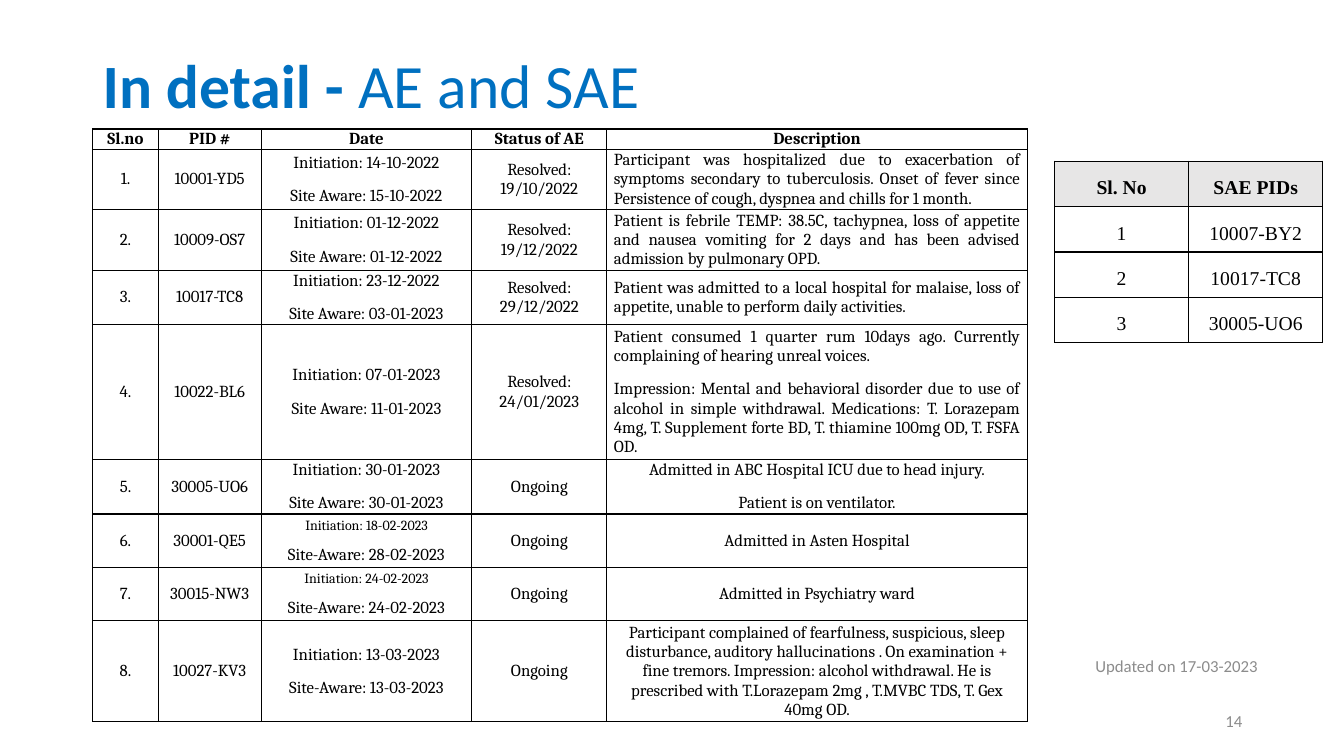
from lxml import etree
from pptx import Presentation, util as u
from pptx.dml.color import RGBColor
from pptx.enum import text as t
from pptx.oxml import ns

BLUE = RGBColor(0x00, 0x70, 0xC0)
GREY = RGBColor(0x8C, 0x8C, 0x8C)
PALE = RGBColor(0xE7, 0xE6, 0xE6)
BLACK = RGBColor(0, 0, 0)
CENTER, JUSTIFY, RIGHT = t.PP_ALIGN.CENTER, t.PP_ALIGN.JUSTIFY, t.PP_ALIGN.RIGHT

TITLE = [("In detail - ", True), ("AE and SAE", False)]
UPDATED = "Updated on 17-03-2023"
PAGE = "14"

EVENT_HEAD = ["Sl.no", "PID #", "Date", "Status of AE", "Description"]
# PID, initiation, site awareness, status, description paragraphs
EVENTS = [
    ("10001-YD5", "Initiation: 14-10-2022", "Site Aware: 15-10-2022", "Resolved: 19/10/2022",
     ["Participant was hospitalized due to exacerbation of symptoms secondary to tuberculosis. "
      "Onset of fever since Persistence of cough, dyspnea and chills for 1 month."]),
    ("10009-OS7", "Initiation: 01-12-2022", "Site Aware: 01-12-2022", "Resolved: 19/12/2022",
     ["Patient is febrile TEMP: 38.5C, tachypnea, loss of appetite and nausea vomiting for "
      "2 days and has been advised admission by pulmonary OPD."]),
    ("10017-TC8", "Initiation: 23-12-2022", "Site Aware: 03-01-2023", "Resolved: 29/12/2022",
     ["Patient was admitted to a local hospital for malaise, loss of appetite, unable to "
      "perform daily activities."]),
    ("10022-BL6", "Initiation: 07-01-2023", "Site Aware: 11-01-2023", "Resolved: 24/01/2023",
     ["Patient consumed 1 quarter rum 10days ago. Currently complaining of hearing unreal voices.",
      "Impression: Mental and behavioral disorder due to use of alcohol in simple withdrawal. "
      "Medications: T. Lorazepam 4mg, T. Supplement forte BD, T. thiamine 100mg OD, T. FSFA OD."]),
    ("30005-UO6", "Initiation: 30-01-2023", "Site Aware: 30-01-2023", "Ongoing",
     ["Admitted in ABC Hospital ICU due to head injury.", "Patient is on ventilator."]),
    ("30001-QE5", "Initiation: 18-02-2023", "Site-Aware: 28-02-2023", "Ongoing",
     ["Admitted in Asten Hospital"]),
    ("30015-NW3", "Initiation: 24-02-2023", "Site-Aware: 24-02-2023", "Ongoing",
     ["Admitted in Psychiatry ward"]),
    ("10027-KV3", "Initiation: 13-03-2023", "Site-Aware: 13-03-2023", "Ongoing",
     ["Participant complained of fearfulness, suspicious, sleep disturbance, auditory "
      "hallucinations . On examination + fine tremors. Impression: alcohol withdrawal. He is "
      "prescribed with T.Lorazepam 2mg , T.MVBC TDS, T. Gex 40mg OD."]),
]
EVENT_COLS = [0.65, 1.02, 2.09, 1.34, 4.17]
EVENT_ROWS = [0.19, 0.58, 0.58, 0.53, 1.3, 0.53, 0.53, 0.53, 0.96]
SMALL_DATES = {6, 7}

SAE_HEAD = ["Sl. No", "SAE PIDs"]
SAE_PIDS = ["10007-BY2", "10017-TC8", "30005-UO6"]
SAE_COLS = [1.33, 1.33]
SAE_ROW = 0.42

EVENT_STYLE = dict(font="Cambria", size=12, align=CENTER, after=10)
SAE_STYLE = dict(font="Times New Roman", size=14, align=CENTER, spacing=1.5)
FOOT_STYLE = dict(font="Calibri", size=12, color=GREY)


def write(paragraph, runs, font="Calibri", size=12, color=BLACK, bold=False,
          align=None, spacing=None, after=None):
    """Fill a paragraph with a string or with (string, bold) pairs."""
    paragraph.alignment = align
    if spacing:
        paragraph.line_spacing = spacing
    if after is not None:
        paragraph.space_after = u.Pt(after)
    for words, heavy in [(runs, bold)] if isinstance(runs, str) else runs:
        run = paragraph.add_run()
        run.text = words
        run.font.name, run.font.size, run.font.bold = font, u.Pt(size), heavy
        run.font.color.rgb = color


def add_text(slide, left, top, width, height, runs, **style):
    """Place one line of text in a vertically centred box."""
    frame = slide.shapes.add_textbox(*map(u.Inches, (left, top, width, height))).text_frame
    frame.word_wrap = True
    frame.vertical_anchor = t.MSO_ANCHOR.MIDDLE
    write(frame.paragraphs[0], runs, **style)


def outline(cell):
    """Draw a thin black border on all four sides of a cell."""
    props = cell._tc.get_or_add_tcPr()
    for place, side in enumerate(("lnL", "lnR", "lnT", "lnB")):
        line = etree.Element(ns.qn(f"a:{side}"), w=str(u.Pt(1)))
        fill = etree.SubElement(line, ns.qn("a:solidFill"))
        etree.SubElement(fill, ns.qn("a:srgbClr"), val=str(BLACK))
        props.insert(place, line)


def add_grid(slide, left, top, cols, rows, head_fill=None):
    """Add a plain bordered table and return it."""
    table = slide.shapes.add_table(len(rows), len(cols), *map(
        u.Inches, (left, top, sum(cols), sum(rows)))).table
    table.first_row = table.horz_banding = False
    for column, width in zip(table.columns, cols):
        column.width = u.Inches(width)
    for number, (row, height) in enumerate(zip(table.rows, rows)):
        row.height = u.Inches(height)
        for cell in row.cells:
            if head_fill is not None and number == 0:
                cell.fill.solid()
                cell.fill.fore_color.rgb = head_fill
            else:
                cell.fill.background()
            outline(cell)
    return table


def fill_cell(cell, lines, styles):
    """Write one paragraph per line, each with its own style."""
    frame = cell.text_frame
    for number, (words, style) in enumerate(zip(lines, styles)):
        write(frame.add_paragraph() if number else frame.paragraphs[0], words, **style)


def add_events(slide):
    """Build the table of adverse events."""
    table = add_grid(slide, 0.92, 1.28, EVENT_COLS, EVENT_ROWS)
    for cell in table.iter_cells():
        cell.vertical_anchor = t.MSO_ANCHOR.MIDDLE
        cell.margin_left = cell.margin_right = u.Inches(0.07)
        cell.margin_top = cell.margin_bottom = 0
    for column, label in enumerate(EVENT_HEAD):
        fill_cell(table.cell(0, column), [label], [dict(EVENT_STYLE, bold=True)])
    small = dict(EVENT_STYLE, size=10, spacing=1.06, after=8)
    for number, (pid, start, aware, status, story) in enumerate(EVENTS, 1):
        first = small if number in SMALL_DATES else EVENT_STYLE
        told = dict(EVENT_STYLE, align=JUSTIFY if status != "Ongoing" else CENTER)
        columns = [([f"{number}."], [EVENT_STYLE]), ([pid], [EVENT_STYLE]),
                   ([start, aware], [first, EVENT_STYLE]),
                   ([status], [EVENT_STYLE]), (story, [told] * len(story))]
        for column, (lines, styles) in enumerate(columns):
            fill_cell(table.cell(number, column), lines, styles)


def add_sae(slide):
    """Build the short table of serious events."""
    rows = [SAE_HEAD] + [[str(n), pid] for n, pid in enumerate(SAE_PIDS, 1)]
    table = add_grid(slide, 10.46, 1.6, SAE_COLS, [SAE_ROW] * len(rows), PALE)
    for r, row in enumerate(rows):
        for c, words in enumerate(row):
            fill_cell(table.cell(r, c), [words], [dict(SAE_STYLE, bold=r == 0)])


deck = Presentation()
deck.slide_width, deck.slide_height = u.Inches(13.33), u.Inches(7.5)
slide = deck.slides.add_slide(deck.slide_layouts[6])
add_text(slide, 0.92, 0.15, 11.5, 1.45, TITLE, size=44, color=BLUE, spacing=0.9)
add_text(slide, 9.42, 6.95, 3, 0.4, PAGE, align=RIGHT, **FOOT_STYLE)
add_sae(slide)
add_events(slide)
add_text(slide, 10.17, 6.41, 3, 0.4, UPDATED, align=CENTER, **FOOT_STYLE)
deck.save("out.pptx")
